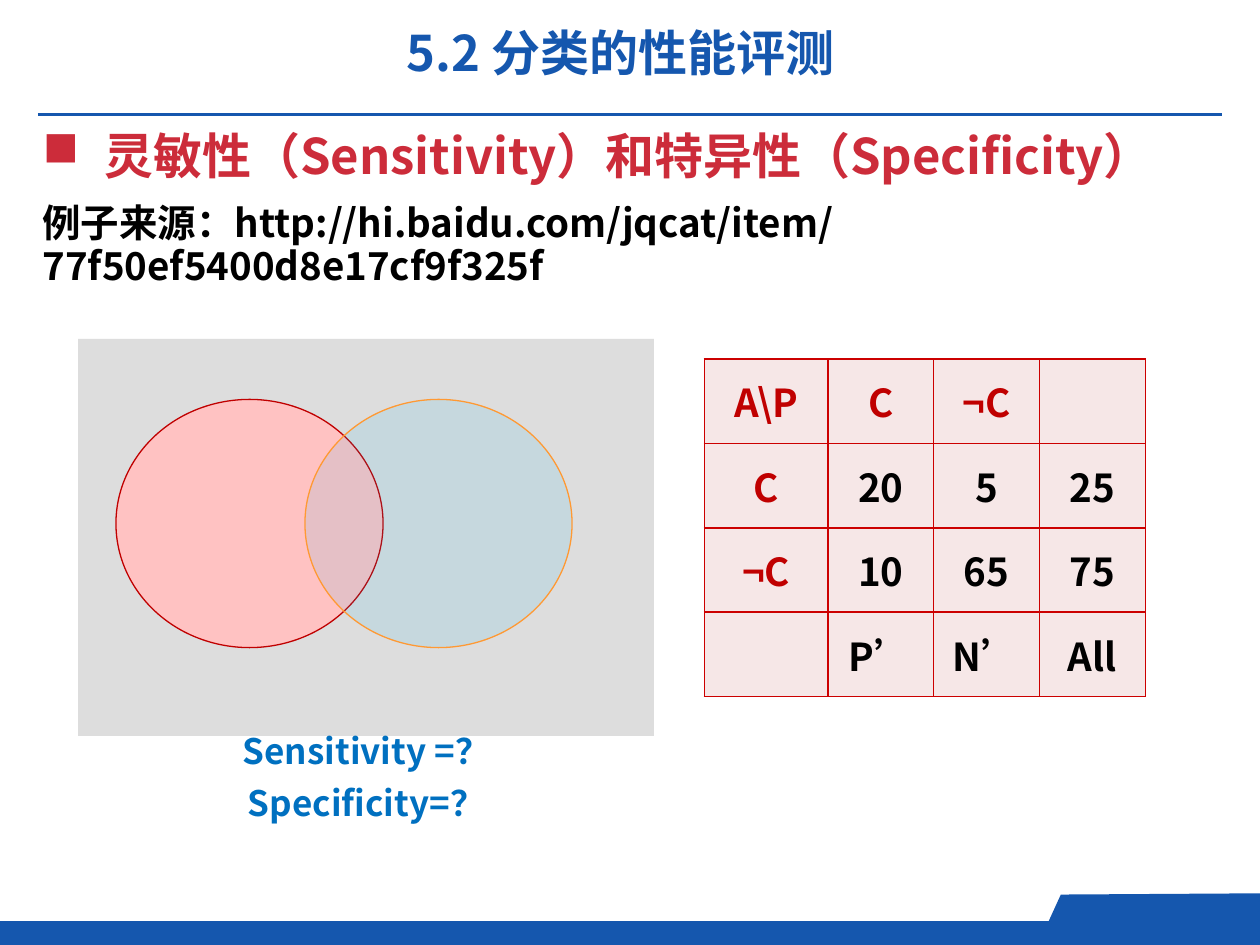
from lxml import etree
from pptx import Presentation
from pptx.dml.color import RGBColor
from pptx.enum.shapes import MSO_CONNECTOR, MSO_SHAPE
from pptx.enum.text import MSO_ANCHOR, PP_ALIGN
from pptx.oxml.ns import qn
from pptx.util import Inches, Pt

FONT = "Noto Sans CJK SC"
BLUE, RED, BLACK = "1557AE", "C00000", "000000"


def color(hex_code):
    return RGBColor.from_string(hex_code)


def format_text(frame, size, hex_code, align=PP_ALIGN.LEFT, spacing=1.0):
    """Style every paragraph, with the same font for Latin and Chinese text."""
    frame.word_wrap = True
    for para in frame.paragraphs:
        para.alignment = align
        para.line_spacing = spacing
        for span in para.runs:
            font = span.font
            font.size, font.bold, font.name = Pt(size), True, FONT
            font.color.rgb = color(hex_code)
            etree.SubElement(font._element, qn("a:ea"), typeface=FONT)


deck = Presentation()
deck.slide_width, deck.slide_height = Inches(10), Inches(7.5)
page = deck.slides.add_slide(deck.slide_layouts[6])
shapes = page.shapes

# Footer band with its raised tab, and the rule under the title
band = shapes.add_shape(MSO_SHAPE.RECTANGLE, Inches(0), Inches(7.31), Inches(10), Inches(0.19))
outline = shapes.build_freeform(Inches(10), Inches(7.45), scale=1.0)
outline.add_line_segments(
    [(Inches(x), Inches(y)) for x, y in [(10, 7.09), (8.42, 7.1), (8.26, 7.45)]], close=True)
tab = outline.convert_to_shape()
for part in (band, tab):
    part.shadow.inherit = False
    part.fill.solid()
    part.fill.fore_color.rgb = color(BLUE)
    part.line.fill.background()

rule = shapes.add_connector(
    MSO_CONNECTOR.STRAIGHT, Inches(0.3), Inches(0.91), Inches(9.7), Inches(0.91))
rule.line.color.rgb = color(BLUE)
rule.line.width = Pt(1.5)
etree.SubElement(rule._element.spPr, qn("a:effectLst"))

# Title, heading and source of the example
title = shapes.add_textbox(Inches(0.91), Inches(0.13), Inches(8.03), Inches(0.57))
title.text_frame.text = "5.2 分类的性能评测"
title.text_frame.vertical_anchor = MSO_ANCHOR.MIDDLE
format_text(title.text_frame, 28, BLUE, PP_ALIGN.CENTER)

heading = shapes.add_textbox(Inches(0.24), Inches(0.95), Inches(9.53), Inches(0.62))
heading.text_frame.text = "灵敏性（Sensitivity）和特异性（Specificity）"
bullet_format = heading.text_frame.paragraphs[0]._p.get_or_add_pPr()
bullet_format.set("marL", str(Inches(0.49)))
bullet_format.set("indent", str(-Inches(0.49)))
etree.SubElement(bullet_format, qn("a:buChar"), char="■")
format_text(heading.text_frame, 28, "CC2C3A")

source = shapes.add_textbox(Inches(0.24), Inches(1.57), Inches(9.37), Inches(0.67))
source.text_frame.text = "例子来源：http://hi.baidu.com/jqcat/item/77f50ef5400d8e17cf9f325f"
format_text(source.text_frame, 22, BLACK, spacing=0.92)

# Venn diagram
universe = shapes.add_shape(
    MSO_SHAPE.RECTANGLE, Inches(0.62), Inches(2.69), Inches(4.57), Inches(3.15))
universe.shadow.inherit = False
universe.fill.solid()
universe.fill.fore_color.rgb = color("DDDDDD")
universe.line.fill.background()

for left, fill, edge, opacity in [(0.92, "FFC2C2", RED, 100), (2.42, "00B0F0", "FF9933", 10)]:
    circle = shapes.add_shape(
        MSO_SHAPE.OVAL, Inches(left), Inches(3.17), Inches(2.12), Inches(1.97))
    circle.shadow.inherit = False
    circle.fill.solid()
    circle.fill.fore_color.rgb = color(fill)
    circle.line.color.rgb = color(edge)
    circle.line.width = Pt(0.75)
    if opacity < 100:
        fill_color = circle._element.spPr.find(qn("a:solidFill"))[0]
        etree.SubElement(fill_color, qn("a:alpha"), val=str(opacity * 1000))

# Confusion matrix
matrix = [
    ["A\\P", "C", "¬C", ""],
    ["C", "20", "5", "25"],
    ["¬C", "10", "65", "75"],
    ["", "P’", "N’", "All"],
]
table = shapes.add_table(
    4, 4, Inches(5.59), Inches(2.85), Inches(3.5), Inches(2.68)).table
for column, width in zip(table.columns, [0.98, 0.84, 0.84, 0.84]):
    column.width = Inches(width)
for row, values in enumerate(matrix):
    table.rows[row].height = Inches(0.67)
    for col, value in enumerate(values):
        cell = table.cell(row, col)
        cell.text = value
        cell.vertical_anchor = MSO_ANCHOR.MIDDLE
        is_header = row == 0 or col == 0
        format_text(cell.text_frame, 22, RED if is_header else BLACK, PP_ALIGN.CENTER)
        cell_format = cell._tc.get_or_add_tcPr()
        for side in ("lnL", "lnR", "lnT", "lnB"):
            border = etree.SubElement(cell_format, qn(f"a:{side}"), w=str(Pt(1)))
            border_fill = etree.SubElement(border, qn("a:solidFill"))
            etree.SubElement(border_fill, qn("a:srgbClr"), val="CC0000")
        cell.fill.solid()
        cell.fill.fore_color.rgb = color("F6E7E7")

# Questions below the diagram
questions = shapes.add_textbox(Inches(1.16), Inches(5.66), Inches(3.5), Inches(1.41))
questions.text_frame.text = "Sensitivity =？\nSpecificity=？"
format_text(questions.text_frame, 20, "0070C0", PP_ALIGN.CENTER, 1.24)

deck.save("out.pptx")
